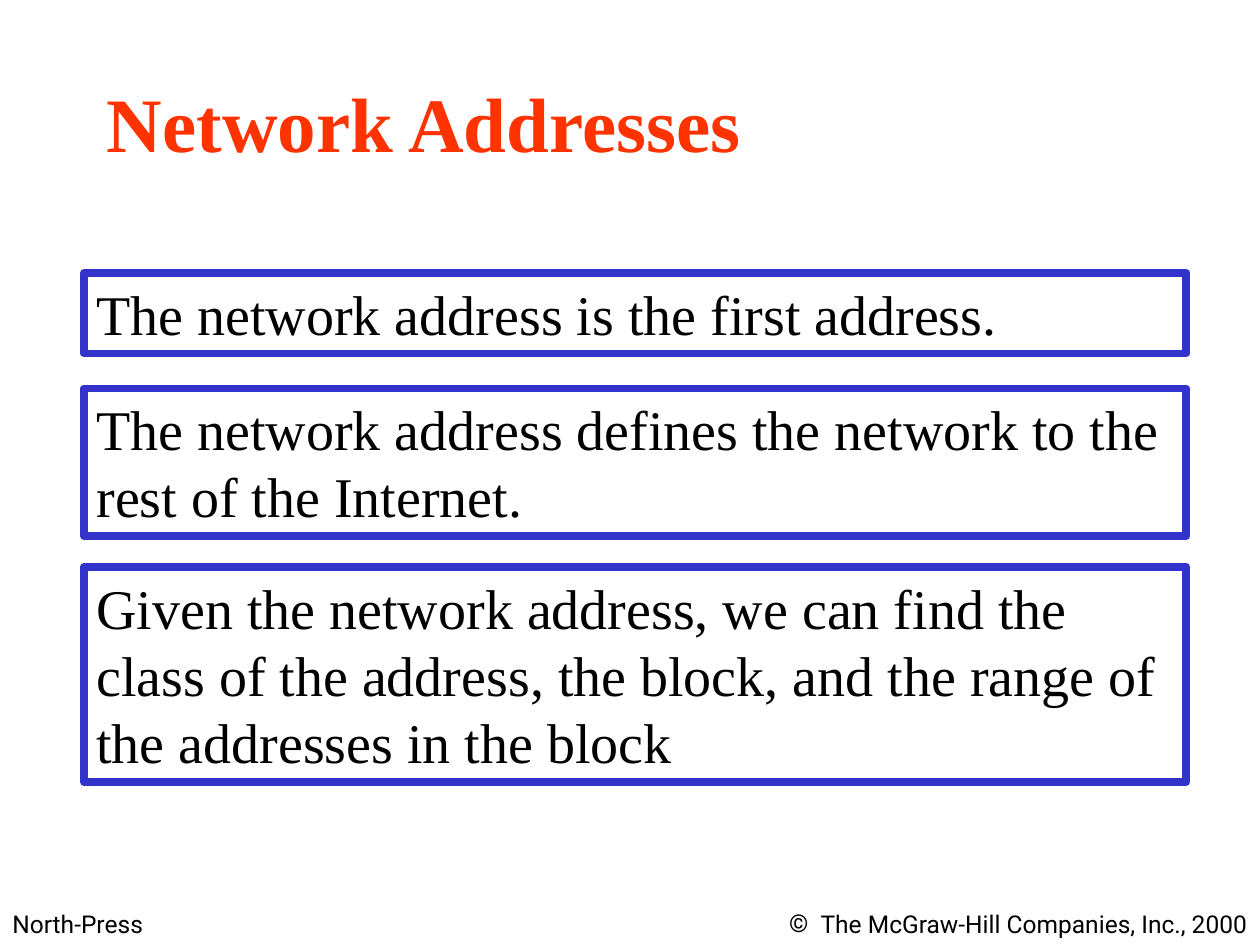
from dataclasses import dataclass
from lxml.etree import SubElement
from pptx import Presentation
from pptx.dml.color import RGBColor
from pptx.enum.shapes import MSO_SHAPE
from pptx.enum.text import MSO_ANCHOR, PP_ALIGN
from pptx.oxml.ns import qn
from pptx.util import Pt


@dataclass(frozen=True)
class Theme:
    ink = RGBColor(0, 0, 0)
    red = RGBColor(0xFF, 0x33, 0x00)
    blue = RGBColor(0x33, 0x33, 0xCC)
    serif = "Times New Roman"
    sans = "Roboto"
    head = 44
    body = 32
    foot = 14
    lead = 1.2


THEME = Theme()
FACTS = [
    (156, 1, "The network address is the first address."),
    (222, 2, "The network address defines the network to the rest of the Internet."),
    (324, 3, "Given the network address, we can find the class of the address, "
             "the block, and the range of the addresses in the block"),
]


def write(shape, text, face, size, color, bold=False, align=PP_ALIGN.LEFT, mark=None):
    frame = shape.text_frame
    frame.word_wrap = True
    frame.vertical_anchor = MSO_ANCHOR.TOP
    para = frame.paragraphs[0]
    para.text = text
    para.alignment = align
    para.line_spacing = Pt(size * THEME.lead)
    if mark:
        add_mark(para, mark)
    font = para.font
    font.name, font.size, font.bold = face, Pt(size), bold
    font.color.rgb = color


def add_mark(para, mark):
    props = para._p.get_or_add_pPr()
    props.set("marL", str(Pt(18)))
    props.set("indent", str(-Pt(18)))
    SubElement(props, qn("a:buFont"), typeface=THEME.sans)
    SubElement(props, qn("a:buChar"), char=mark)


def add_label(slide, left, top, width, height, text, *style, **more):
    box = slide.shapes.add_textbox(Pt(left), Pt(top), Pt(width), Pt(height))
    write(box, text, *style, **more)


def add_fact(slide, top, lines, text):
    height = lines * THEME.body * THEME.lead + 7.6
    box = slide.shapes.add_shape(MSO_SHAPE.RECTANGLE, Pt(48), Pt(top), Pt(630), Pt(height))
    box.shadow.inherit = False
    box.fill.background()
    box.line.color.rgb = THEME.blue
    box.line.width = Pt(4.5)
    write(box, text, THEME.serif, THEME.body, THEME.ink)


def main():
    deck = Presentation()
    deck.slide_width, deck.slide_height = Pt(720), Pt(540)
    slide = deck.slides.add_slide(deck.slide_layouts[6])
    foot = (THEME.sans, THEME.foot, THEME.ink)
    add_label(slide, 0, 516, 174, 24, "North-Press", *foot)
    add_label(slide, 360, 516, 360, 24, "The McGraw-Hill Companies, Inc., 2000", *foot,
              align=PP_ALIGN.RIGHT, mark="©")
    add_label(slide, 54, 39.6, 396, 60, "Network Addresses",
              THEME.serif, THEME.head, THEME.red, bold=True)
    for fact in FACTS:
        add_fact(slide, *fact)
    deck.save("out.pptx")


if __name__ == "__main__":
    main()
